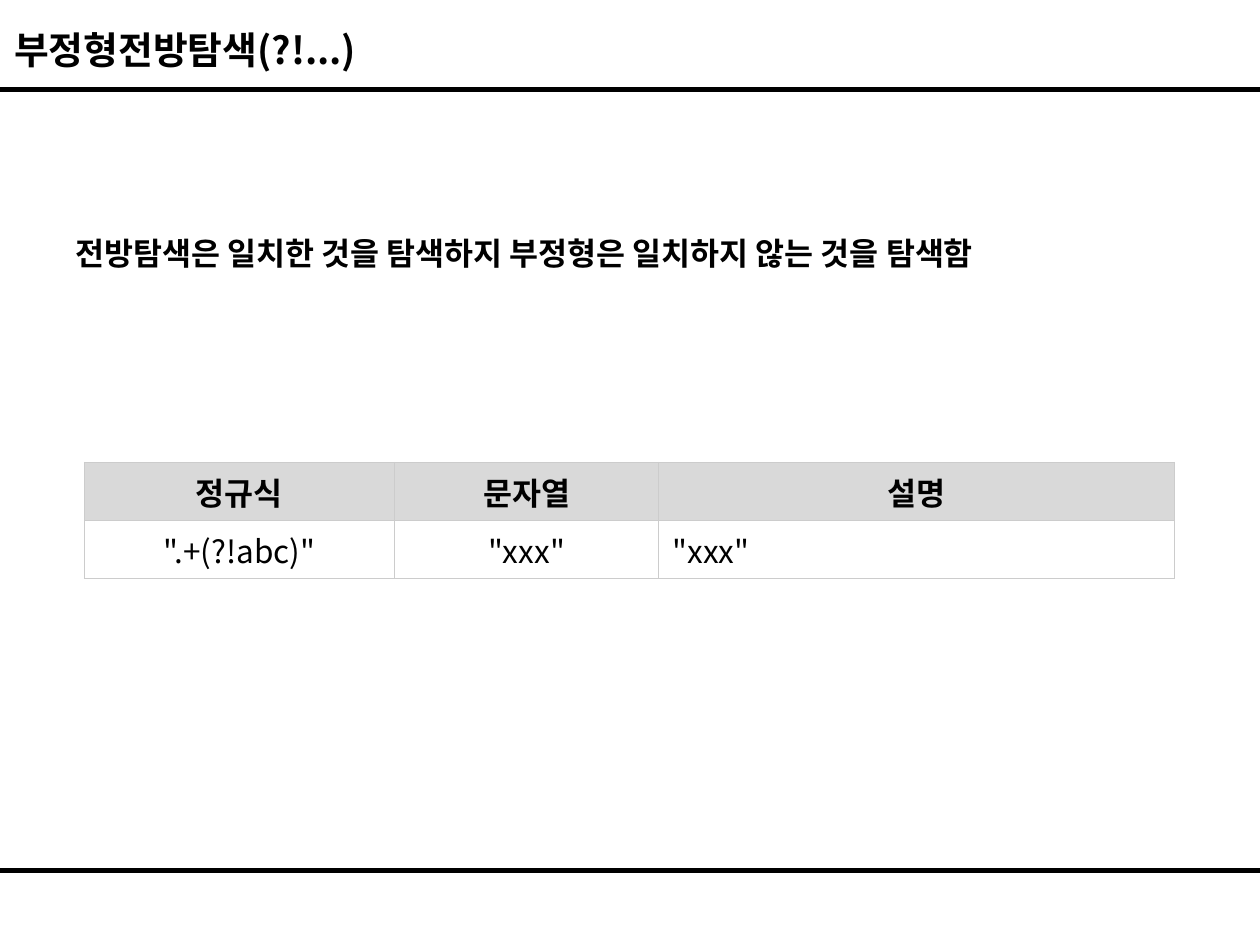
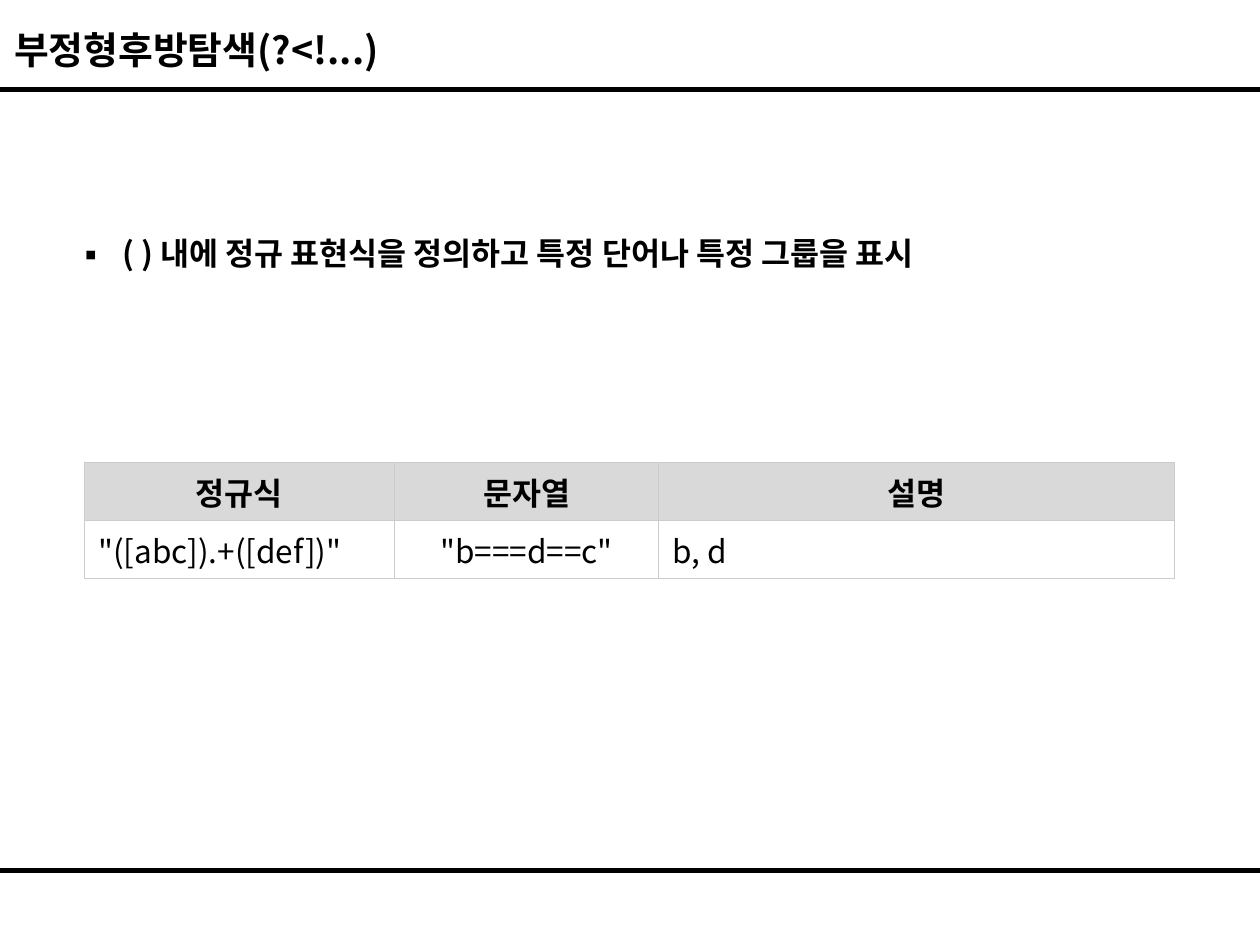
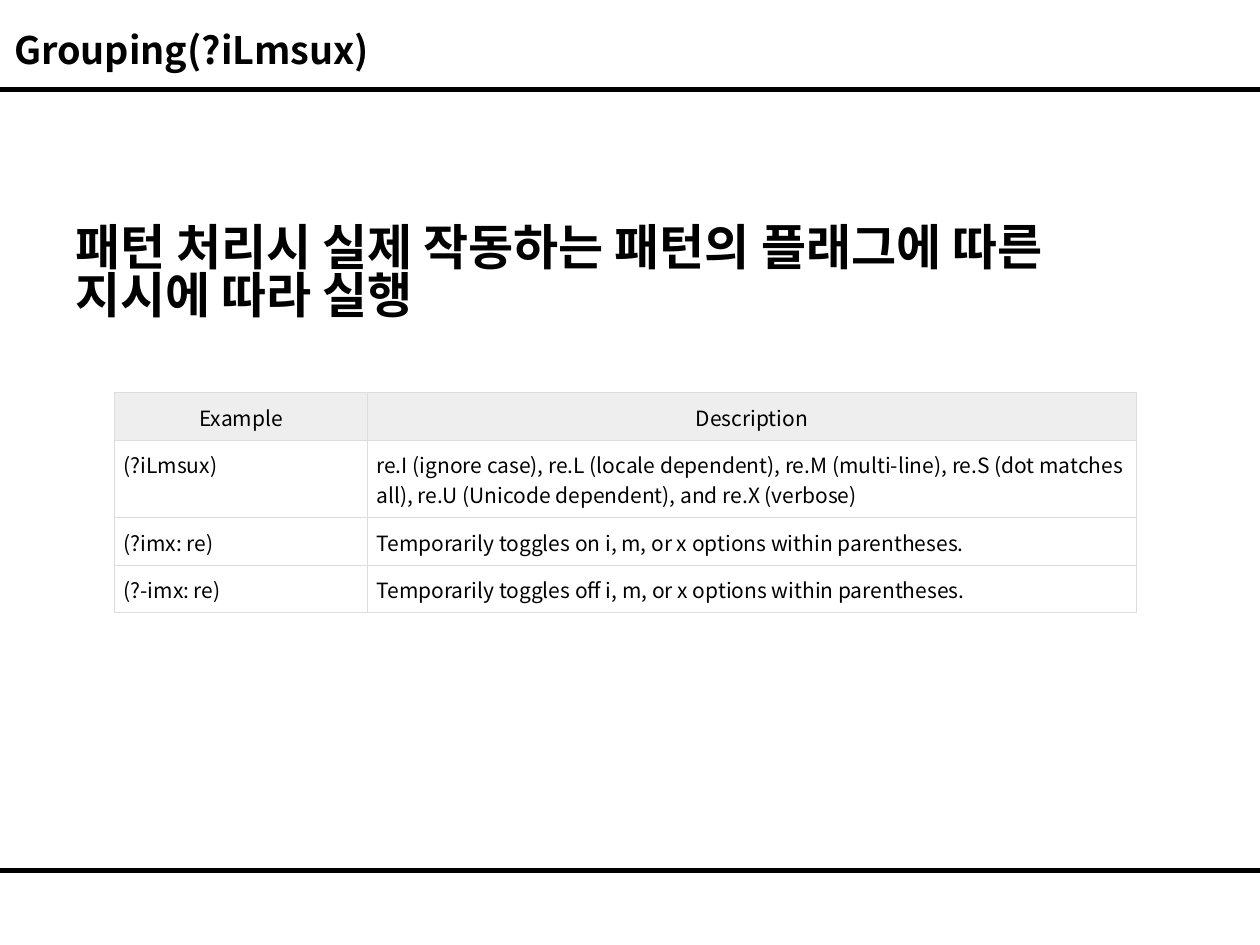
from lxml import etree
from pptx import Presentation
from pptx.dml.color import RGBColor
from pptx.enum import shapes, text
from pptx.oxml import ns
from pptx.util import Cm, Pt

FONT = "Noto Sans CJK KR"
BLACK = RGBColor(0x00, 0x00, 0x00)
WHITE = RGBColor(0xFF, 0xFF, 0xFF)
HEADER_GREY = RGBColor(0xD9, 0xD9, 0xD9)
HEADER_PALE = RGBColor(0xEE, 0xEE, 0xEE)
BORDER_GREY = RGBColor(0xCC, 0xCC, 0xCC)
BORDER_PALE = RGBColor(0xDD, 0xDD, 0xDD)

SLIDE_WIDTH, SLIDE_HEIGHT = Cm(25.4), Cm(19.05)
TITLE_BOX = Cm(0.03), Cm(0.41), Cm(25.1), Cm(1.17)
RULE_TOPS = Cm(1.8), Cm(17.55)
STATEMENT_BOX = Cm(1.27), Cm(4.45), Cm(22.86), Cm(1.68)
FLAG_STATEMENT_BOX = Cm(1.27), Cm(4.45), Cm(22.86), Cm(3.07)

LEFT, CENTER = text.PP_ALIGN.LEFT, text.PP_ALIGN.CENTER

PATTERN_TABLE = dict(
    origin=(Cm(1.7), Cm(9.32)), widths=(Cm(6.25), Cm(5.33), Cm(10.4)),
    row_heights=(Cm(1.17), Cm(1.17)), size=18, bold_header=True,
    header_fill=HEADER_GREY, body_fill=WHITE, border=BORDER_GREY,
    insets=(Cm(0.28), Cm(0.13)), anchor=text.MSO_ANCHOR.MIDDLE)
FLAG_TABLE = dict(
    origin=(Cm(2.31), Cm(7.92)), widths=(Cm(5.1), Cm(15.5)),
    row_heights=(Cm(0.95), Cm(1.57), Cm(0.95), Cm(0.95)), size=12,
    bold_header=False, header_fill=HEADER_PALE, body_fill=None,
    border=BORDER_PALE, insets=(Cm(0.18), Cm(0.18)),
    anchor=text.MSO_ANCHOR.TOP)

PATTERN_HEADER = ("정규식", "문자열", "설명")
FLAG_ROWS = (
    ("Example", "Description"),
    ("(?iLmsux)",
     "re.I (ignore case), re.L (locale dependent), re.M (multi-line), "
     "re.S (dot matches all), re.U (Unicode dependent), and re.X (verbose)"),
    ("(?imx: re)",
     "Temporarily toggles on i, m, or x options within parentheses."),
    ("(?-imx: re)",
     "Temporarily toggles off i, m, or x options within parentheses."),
)


def add_run(paragraph, words, size, bold):
    run = paragraph.add_run()
    run.text = words
    run.font.size = Pt(size)
    run.font.bold = bold
    run.font.color.rgb = BLACK
    run.font.name = FONT
    etree.SubElement(run._r.get_or_add_rPr(), ns.qn("a:ea"), typeface=FONT)


def place(shape, box):
    shape.left, shape.top, shape.width, shape.height = box


def add_layout_rules(slide):
    """Draw the two rules and hand them to the layout that all slides share."""
    layout = slide.slide_layout
    for placeholder in list(layout.placeholders):
        if placeholder.placeholder_format.type != shapes.PP_PLACEHOLDER.TITLE:
            layout.shapes.element.remove(placeholder.element)
    rules = [slide.shapes.add_connector(shapes.MSO_CONNECTOR.STRAIGHT,
                                        0, top, SLIDE_WIDTH, top)
             for top in RULE_TOPS]
    for rule in rules:
        rule.line.color.rgb = BLACK
        rule.line.width = Pt(2.75)
        etree.SubElement(rule.element.spPr, ns.qn("a:effectLst"))
        layout.shapes.element.append(rule.element)


def add_titled_slide(prs, words):
    slide = prs.slides.add_slide(prs.slide_layouts[5])
    title = slide.shapes.title
    place(title, TITLE_BOX)
    frame = title.text_frame
    frame.auto_size = text.MSO_AUTO_SIZE.NONE
    frame.vertical_anchor = text.MSO_ANCHOR.MIDDLE
    frame.paragraphs[0].alignment = LEFT
    add_run(frame.paragraphs[0], words, 21.6, True)
    return slide


def add_statement(slide, box, words, size, spacing, bullet=None):
    frame = slide.shapes.add_textbox(*box).text_frame
    frame.word_wrap = True
    paragraph = frame.paragraphs[0]
    paragraph.line_spacing = spacing
    if bullet:
        properties = paragraph._p.get_or_add_pPr()
        properties.set("marL", str(Cm(0.95)))
        properties.set("indent", str(-Cm(0.95)))
        etree.SubElement(properties, ns.qn("a:buFont"), typeface=FONT)
        etree.SubElement(properties, ns.qn("a:buChar"), char=bullet)
    add_run(paragraph, words, size, True)


def set_borders(cell, color):
    properties = cell._tc.get_or_add_tcPr()
    for position, side in enumerate(("a:lnL", "a:lnR", "a:lnT", "a:lnB")):
        line = etree.Element(ns.qn(side), w=str(Pt(0.6)))
        fill = etree.SubElement(line, ns.qn("a:solidFill"))
        etree.SubElement(fill, ns.qn("a:srgbClr"), val=str(color))
        properties.insert(position, line)


def add_grid(slide, rows, body_aligns, origin, widths, row_heights, size,
             bold_header, header_fill, body_fill, border, insets, anchor):
    table = slide.shapes.add_table(len(rows), len(widths), *origin,
                                   sum(widths), sum(row_heights)).table
    table.first_row = table.horz_banding = False
    for column, width in zip(table.columns, widths):
        column.width = width
    for index, (row, height, entries) in enumerate(
            zip(table.rows, row_heights, rows)):
        row.height = height
        is_header = index == 0
        fill = header_fill if is_header else body_fill
        for cell, words, align in zip(row.cells, entries, body_aligns):
            cell.margin_left = cell.margin_right = insets[0]
            cell.margin_top = cell.margin_bottom = insets[1]
            cell.vertical_anchor = anchor
            if fill is None:
                cell.fill.background()
            else:
                cell.fill.solid()
                cell.fill.fore_color.rgb = fill
            set_borders(cell, border)
            paragraph = cell.text_frame.paragraphs[0]
            paragraph.alignment = CENTER if is_header else align
            add_run(paragraph, words, size, is_header and bold_header)


def add_pattern_slide(prs, title, statement, example, aligns, bullet=None):
    slide = add_titled_slide(prs, title)
    add_statement(slide, STATEMENT_BOX, statement, 18, 1.2, bullet)
    add_grid(slide, (PATTERN_HEADER, example), aligns, **PATTERN_TABLE)
    return slide


def add_flag_slide(prs):
    slide = add_titled_slide(prs, "Grouping(?iLmsux)")
    add_statement(slide, FLAG_STATEMENT_BOX,
                  "패턴 처리시 실제 작동하는 패턴의 플래그에 따른 지시에 따라 실행",
                  28, 0.82)
    add_grid(slide, FLAG_ROWS, (LEFT, LEFT), **FLAG_TABLE)


def main():
    prs = Presentation()
    prs.slide_width, prs.slide_height = SLIDE_WIDTH, SLIDE_HEIGHT
    lookahead = add_pattern_slide(
        prs, "부정형전방탐색(?!...)",
        "전방탐색은 일치한 것을 탐색하지 부정형은 일치하지 않는 것을 탐색함",
        ('".+(?!abc)"', '"xxx"', '"xxx"'), (CENTER, CENTER, LEFT))
    add_layout_rules(lookahead)
    add_pattern_slide(
        prs, "부정형후방탐색(?<!...)",
        "( ) 내에 정규 표현식을 정의하고 특정 단어나 특정 그룹을 표시",
        ('"([abc]).+([def])"', '"b===d==c"', "b, d"), (LEFT, CENTER, LEFT),
        bullet="▪")
    add_flag_slide(prs)
    prs.save("out.pptx")


if __name__ == "__main__":
    main()
